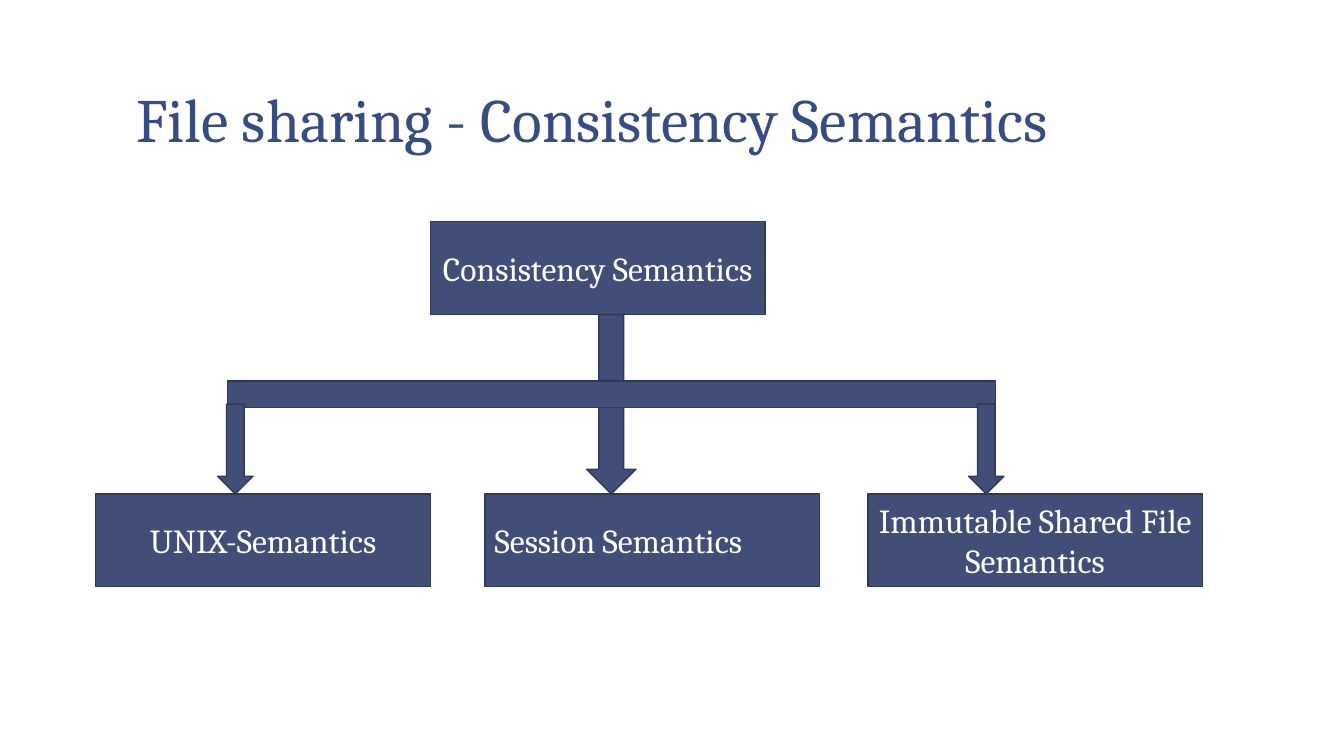
from pptx import Presentation
from pptx.dml.color import RGBColor
from pptx.enum.shapes import MSO_SHAPE as Shape
from pptx.enum.text import MSO_ANCHOR as Anchor, MSO_AUTO_SIZE as AutoSize, PP_ALIGN as Align
from pptx.util import Pt

FONT = "Cambria"
FILL, EDGE, WHITE, TITLE_BLUE = "414E77", "2F3856", "FFFFFF", "374C81"
BOX_WIDTH, BOX_HEIGHT = 239, 66.3
ROOT_LEFT, ROOT_TOP = 307.4, 158.4
ROW_TOP = 352.8
BAR_TOP, BAR_HEIGHT = 272.2, 18.7
BRANCH_TOP, BRANCH_WIDTH = 288.7, 25.2
MODELS = [
    ("UNIX-Semantics", 68.4, Align.CENTER),
    ("Session Semantics", 346.3, Align.LEFT),
    ("Immutable Shared File Semantics", 619.9, Align.CENTER),
]


def color(hex_text):
    """Return the colour for a hex string."""
    return RGBColor.from_string(hex_text)


def apply(target, values):
    """Set each attribute of the target from a dict."""
    for name, value in values.items():
        setattr(target, name, value)


def write(shape, text, size, text_color, align):
    """Put one formatted paragraph into a shape."""
    para = shape.text_frame.paragraphs[0]
    para.alignment = align
    span = para.add_run()
    span.text = text
    apply(span.font, {"name": FONT, "size": Pt(size)})
    span.font.color.rgb = color(text_color)
    return para


def add_title(page, text):
    """Place and format the title placeholder."""
    title = page.shapes.title
    apply(title, {"left": Pt(87.8), "top": Pt(5.8), "width": Pt(800), "height": Pt(110.2)})
    apply(title.text_frame, {
        "word_wrap": True, "auto_size": AutoSize.NONE, "vertical_anchor": Anchor.BOTTOM,
        "margin_left": Pt(9.4), "margin_right": Pt(9.4),
        "margin_top": Pt(5), "margin_bottom": Pt(5),
    })
    write(title, text, 44, TITLE_BLUE, Align.LEFT).line_spacing = 0.85


def add_block(page, kind, left, top, width, height):
    """Add a filled and outlined preset shape."""
    block = page.shapes.add_shape(kind, Pt(left), Pt(top), Pt(width), Pt(height))
    block.shadow.inherit = False
    block.fill.solid()
    block.fill.fore_color.rgb = color(FILL)
    block.line.color.rgb = color(EDGE)
    block.line.width = Pt(1)
    return block


def add_box(page, text, left, top, align=Align.CENTER):
    """Add a labelled box of the diagram."""
    box = add_block(page, Shape.RECTANGLE, left, top, BOX_WIDTH, BOX_HEIGHT)
    apply(box.text_frame, {"word_wrap": True, "vertical_anchor": Anchor.MIDDLE})
    write(box, text, 24, WHITE, align)


def add_arrow(page, left, top, width):
    """Add a block arrow that ends at the lower row of boxes."""
    add_block(page, Shape.DOWN_ARROW, left, top, width, ROW_TOP - top)


def main():
    """Build the slide and save it."""
    deck = Presentation()
    apply(deck, {"slide_width": Pt(960), "slide_height": Pt(540)})
    page = deck.slides.add_slide(deck.slide_layouts[5])
    add_title(page, "File sharing - Consistency Semantics")
    add_box(page, "Consistency Semantics", ROOT_LEFT, ROOT_TOP)
    for text, left, align in MODELS:
        add_box(page, text, left, ROW_TOP, align)
    add_arrow(page, 419, ROOT_TOP + BOX_HEIGHT, 35.3)
    add_block(page, Shape.RECTANGLE, 162.7, BAR_TOP, 548.6, BAR_HEIGHT)
    for left in (155.5, 691.9):
        add_arrow(page, left, BRANCH_TOP, BRANCH_WIDTH)
    deck.save("out.pptx")


if __name__ == "__main__":
    main()
